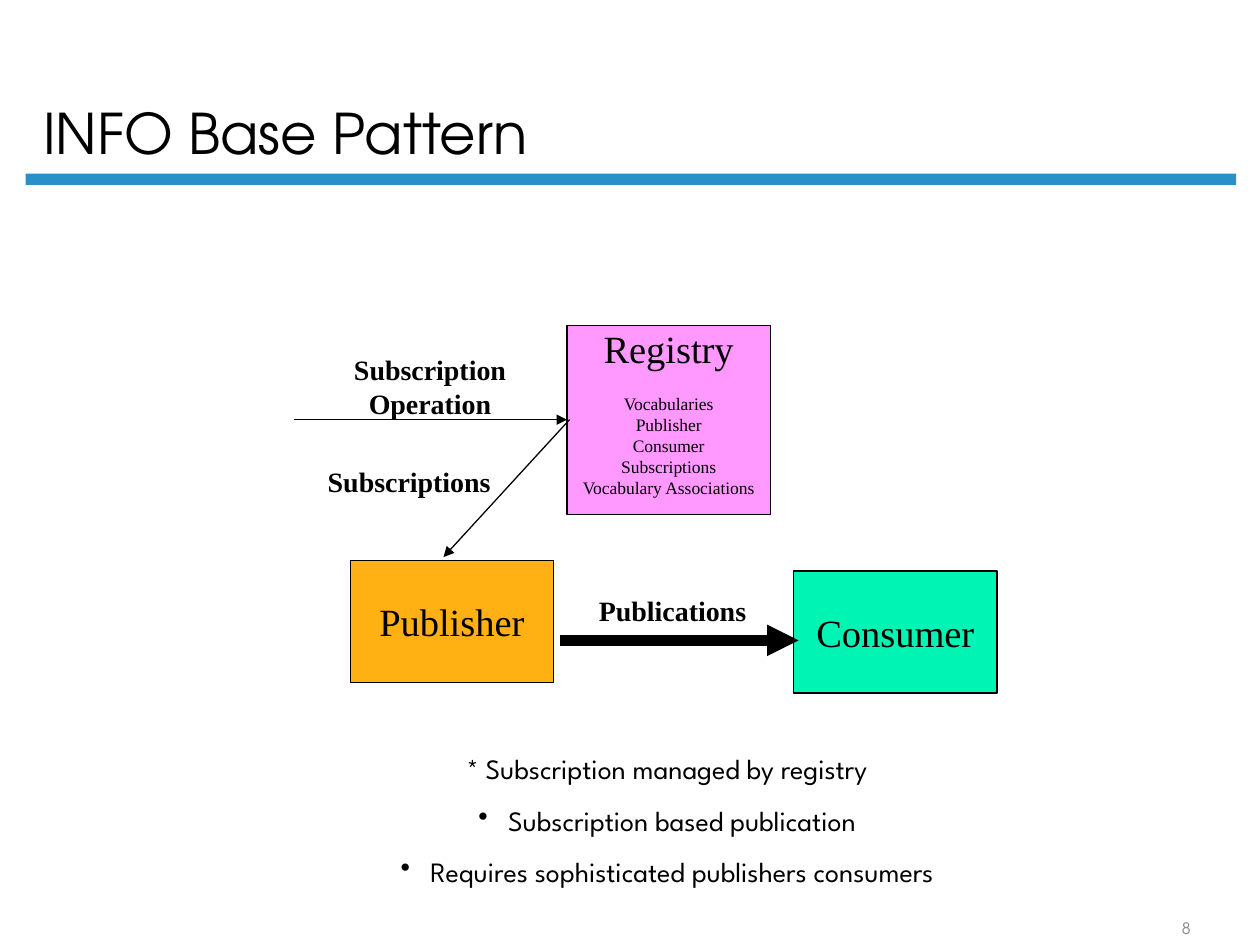
"""Build the INFO Base Pattern slide."""
import dataclasses

import lxml.etree
import pptx
import pptx.dml.color
import pptx.enum.shapes
import pptx.enum.text
import pptx.oxml.ns
import pptx.util

Cm, Pt = pptx.util.Cm, pptx.util.Pt
qn = pptx.oxml.ns.qn
ALIGN = pptx.enum.text.PP_ALIGN
ANCHOR = pptx.enum.text.MSO_ANCHOR


@dataclasses.dataclass(frozen=True)
class Theme:
    head: str = "TeX Gyre Adventor"
    body: str = "League Spartan"
    serif: str = "Times New Roman"
    ink: str = "000000"
    grey: str = "848589"
    blue: str = "2990CA"
    gold: str = "FFB013"
    mint: str = "00F4B4"
    pink: str = "FF99FF"
    title: int = 32
    name: int = 22
    label: int = 16
    item: int = 10
    page: int = 9
    thin: float = 0.75
    thick: float = 6


THEME = Theme()


def tint(code):
    return pptx.dml.color.RGBColor.from_string(code)


def set_frame(frame, anchor, wrap, side=0.25, top=0.13):
    frame.word_wrap = wrap
    frame.vertical_anchor = anchor
    frame.margin_left = frame.margin_right = Cm(side)
    frame.margin_top = frame.margin_bottom = Cm(top)


def add_run(para, text, font, size, color=THEME.ink, bold=False):
    run = para.add_run()
    run.text = text
    run.font.name = font
    run.font.size = Pt(size)
    run.font.bold = bold
    run.font.color.rgb = tint(color)


def next_para(frame, first, align=ALIGN.CENTER):
    para = frame.paragraphs[0] if first else frame.add_paragraph()
    para.alignment = align
    return para


def add_text(slide, place, lines, font, size, color=THEME.ink, bold=False,
             align=ALIGN.CENTER, anchor=ANCHOR.TOP, wrap=True, side=0.25):
    frame = slide.shapes.add_textbox(*map(Cm, place)).text_frame
    set_frame(frame, anchor, wrap, side)
    for index, line in enumerate(lines):
        para = next_para(frame, index == 0, align)
        add_run(para, line, font, size, color, bold)
    return frame


def add_box(slide, place, fill, edge=None):
    kind = pptx.enum.shapes.MSO_SHAPE.RECTANGLE
    box = slide.shapes.add_shape(kind, *map(Cm, place))
    box.shadow.inherit = False
    box.fill.solid()
    box.fill.fore_color.rgb = tint(fill)
    if edge:
        box.line.color.rgb = tint(edge)
        box.line.width = Pt(THEME.thin)
    else:
        box.line.fill.background()
    return box


def add_node(slide, place, fill, name, items=()):
    frame = add_box(slide, place, fill, THEME.ink).text_frame
    if items:
        set_frame(frame, ANCHOR.TOP, False, 0.46, 0)
    else:
        set_frame(frame, ANCHOR.MIDDLE, False, 0.46, 0.23)
    add_run(next_para(frame, True), name, THEME.serif, THEME.name)
    for index, item in enumerate(items):
        para = next_para(frame, False)
        if index == 0:
            para.space_before = Pt(12)
        add_run(para, item, THEME.serif, THEME.item)


def add_arrow(slide, ends, width):
    kind = pptx.enum.shapes.MSO_CONNECTOR.STRAIGHT
    arrow = slide.shapes.add_connector(kind, *map(Cm, ends))
    arrow.line.color.rgb = tint(THEME.ink)
    arrow.line.width = Pt(width)
    props = arrow.element.spPr
    lxml.etree.SubElement(props.find(qn("a:ln")), qn("a:tailEnd"), type="triangle")
    lxml.etree.SubElement(props, qn("a:effectLst"))


def add_dot(para):
    props = para._p.get_or_add_pPr()
    props.set("marL", str(Cm(0.6)))
    props.set("indent", str(-Cm(0.6)))
    color = lxml.etree.SubElement(props, qn("a:buClr"))
    lxml.etree.SubElement(color, qn("a:srgbClr"), val=THEME.ink)
    lxml.etree.SubElement(props, qn("a:buChar"), char="•")


def add_notes(slide, place, lines):
    frame = add_text(slide, place, lines, THEME.body, THEME.label)
    for para in frame.paragraphs[1:]:
        para.space_before = Pt(10)
        add_dot(para)


def add_label(slide, place, *lines):
    add_text(slide, place, lines, THEME.serif, THEME.label, bold=True,
             wrap=False, side=0)


def main():
    deck = pptx.Presentation()
    deck.slide_width, deck.slide_height = Cm(25.4), Cm(19.05)
    slide = deck.slides.add_slide(deck.slide_layouts[6])

    add_box(slide, (0.52, 3.5, 24.4, 0.23), THEME.blue)
    add_text(slide, (0.62, 0.3, 21.74, 3.18), ["INFO Base Pattern"], THEME.head,
             THEME.title, align=ALIGN.LEFT, anchor=ANCHOR.BOTTOM)

    add_node(slide, (7.06, 11.3, 4.1, 2.46), THEME.gold, "Publisher")
    add_node(slide, (16, 11.51, 4.1, 2.46), THEME.mint, "Consumer")
    add_node(slide, (11.43, 6.56, 4.1, 3.81), THEME.pink, "Registry",
             ["Vocabularies", "Publisher", "Consumer", "Subscriptions",
              "Vocabulary Associations"])

    add_arrow(slide, (11.28, 12.91, 16.1, 12.91), THEME.thick)
    add_arrow(slide, (11.48, 8.46, 8.94, 11.23), THEME.thin)
    add_arrow(slide, (5.92, 8.46, 11.43, 8.46), THEME.thin)

    add_label(slide, (11.86, 11.84, 3.4, 0.89), "Publications")
    add_label(slide, (6.35, 9.23, 3.8, 0.94), "Subscriptions")
    add_label(slide, (6.88, 6.98, 3.58, 1.63), "Subscription", "Operation")

    add_notes(slide, (6.78, 15.03, 13.34, 3),
              ["* Subscription managed by registry",
               "Subscription based publication",
               "Requires sophisticated publishers consumers"])
    add_text(slide, (22.86, 18.42, 2.11, 0.61), ["8"], THEME.head, THEME.page,
             THEME.grey, anchor=ANCHOR.BOTTOM)
    deck.save("out.pptx")


if __name__ == "__main__":
    main()
